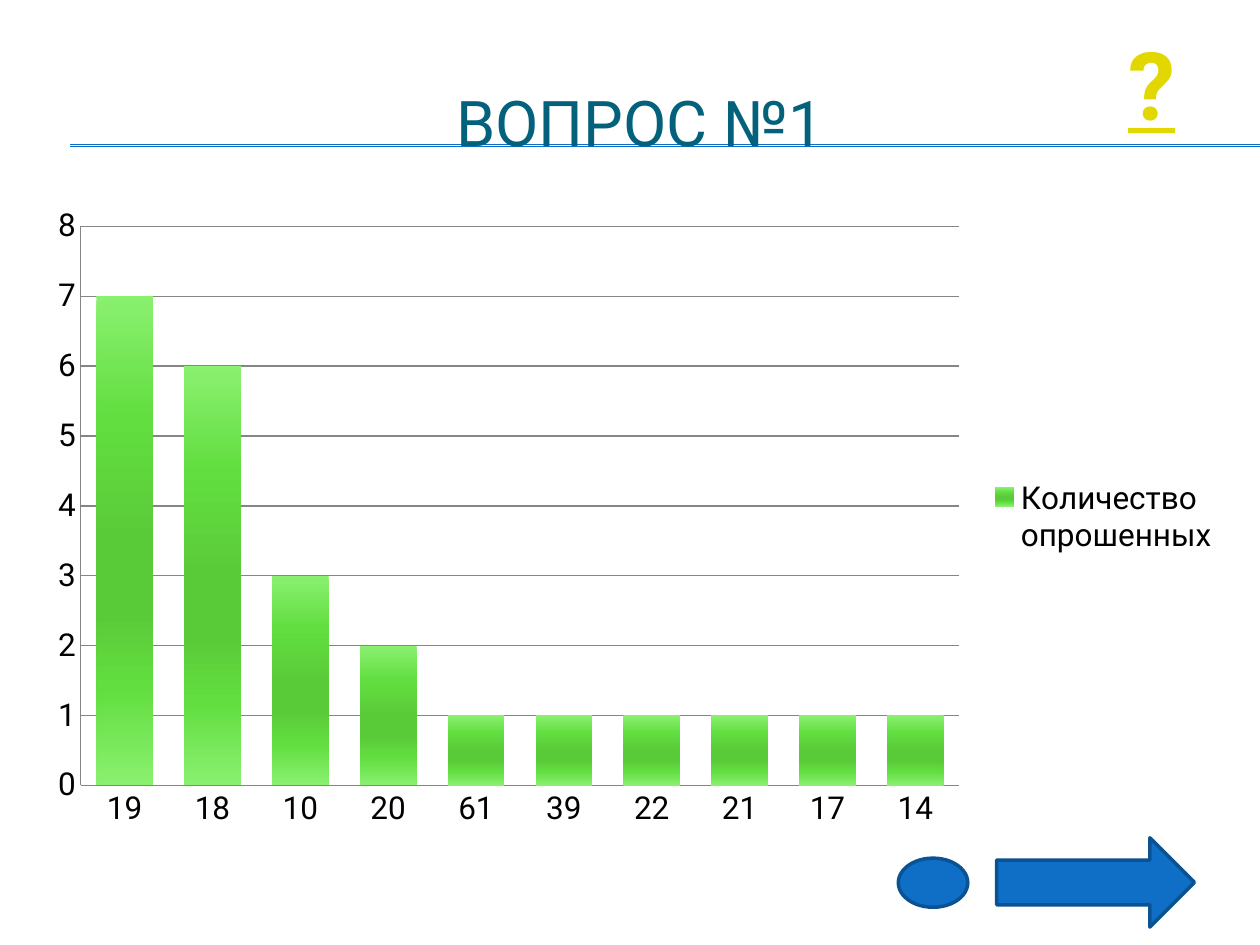
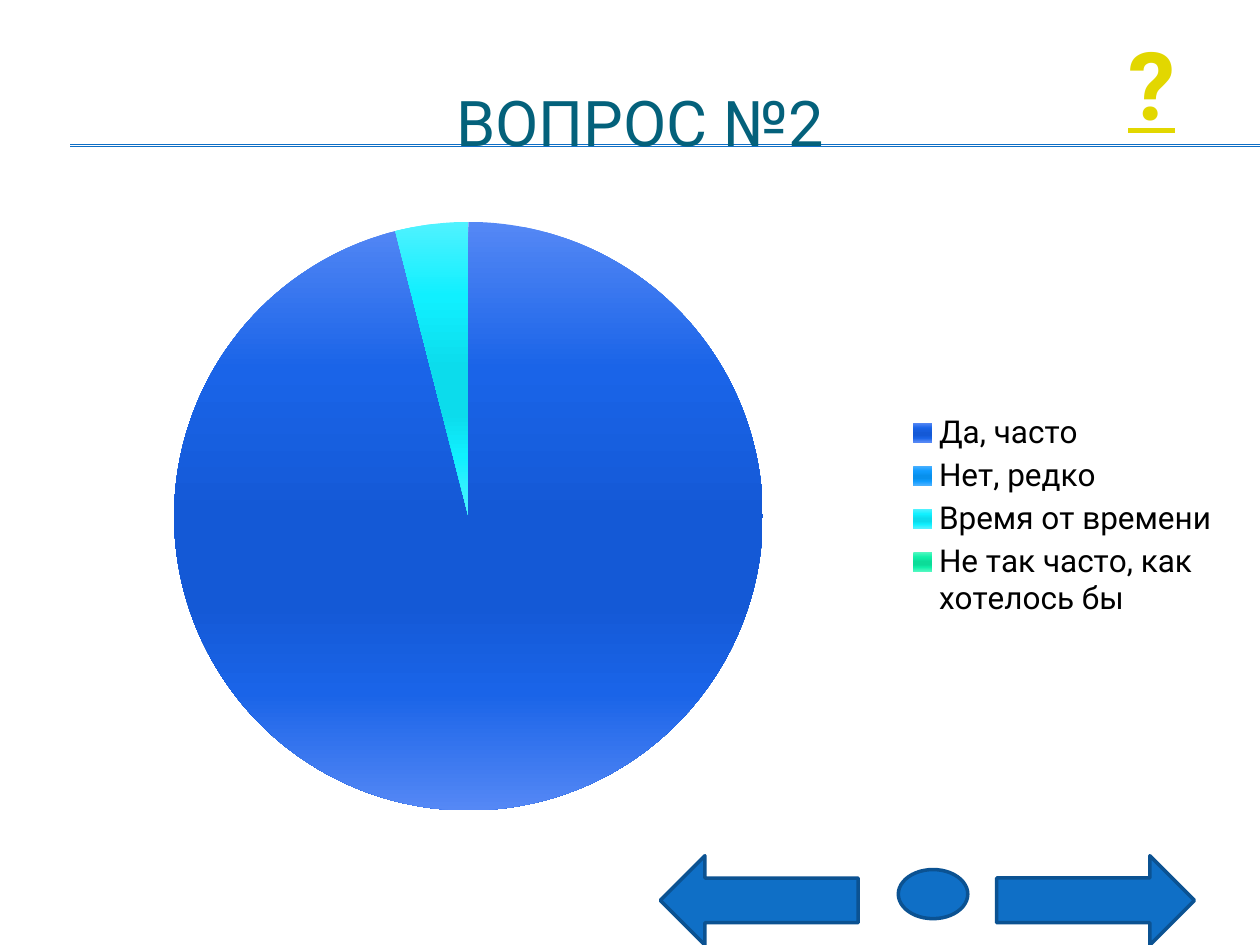
from dataclasses import dataclass

from lxml.etree import SubElement
from pptx import Presentation
from pptx.chart.data import CategoryChartData
from pptx.dml.color import RGBColor
from pptx.enum.chart import XL_CHART_TYPE, XL_LEGEND_POSITION, XL_TICK_MARK
from pptx.enum.shapes import MSO_CONNECTOR, MSO_SHAPE
from pptx.enum.text import MSO_ANCHOR, PP_ALIGN
from pptx.oxml.ns import qn
from pptx.util import Cm, Pt


@dataclass(frozen=True)
class Theme:
    font: str = "Roboto"
    blue: str = "0F6FC6"
    edge: str = "0B5292"
    head: str = "04617B"
    mark: str = "E2D700"
    text: str = "000000"
    grid: str = "868686"
    head_size: int = 36
    mark_size: int = 54
    chart_size: int = 18
    # Light, vivid and dark tone of each gradient
    green: tuple = ("8AF070", "62DE40", "5ACB38")
    slices: tuple = (
        ("5588F5", "1A64E8", "1459D6"),
        ("48B0FF", "109CFF", "0890EC"),
        ("50F2FF", "10F0FF", "0CDCEC"),
        ("50F8C0", "10F0A8", "0CDC98"),
    )


# Position in percent and tone of each gradient stop
STOPS = ((0, 0), (25, 1), (50, 2), (65, 2), (80, 1), (100, 0))


def rgb(code):
    return RGBColor.from_string(code)


def write(frame, text, *, font, size, color, bold=False, under=False,
          align=PP_ALIGN.LEFT, anchor=MSO_ANCHOR.TOP):
    """Put one formatted line of text in a frame."""
    frame.word_wrap = True
    frame.vertical_anchor = anchor
    line = frame.paragraphs[0]
    line.alignment = align
    run = line.add_run()
    run.text = text
    run.font.name, run.font.size = font, Pt(size)
    run.font.bold, run.font.underline = bold, under
    run.font.color.rgb = rgb(color)


def shade(fill, tones):
    """Fill from top to bottom with the tones of a gradient."""
    fill.gradient()
    fill.gradient_angle = 270
    stops = fill.gradient_stops[0]._gs.getparent()
    stops.clear()
    for place, tone in STOPS:
        stop = SubElement(stops, qn("a:gs"), pos=str(place * 1000))
        SubElement(stop, qn("a:srgbClr"), val=tones[tone])


def place_plot(chart, **box):
    """Fix the inner plot area as shares of the chart."""
    area = chart._chartSpace.chart.plotArea
    old = area.find(qn("c:layout"))
    if old is not None:
        area.remove(old)
    layout = SubElement(area, qn("c:layout"))
    area.insert(0, layout)
    manual = SubElement(layout, qn("c:manualLayout"))
    parts = {"layoutTarget": "inner", "xMode": "edge", "yMode": "edge", **box}
    for name, value in parts.items():
        SubElement(manual, qn(f"c:{name}"), val=str(value))


class Deck:
    def __init__(self, theme):
        self.theme = theme
        self.file = Presentation()
        self.file.slide_width, self.file.slide_height = Cm(25.4), Cm(19.05)
        self.slide = None

    def page(self, title):
        """Start a slide with its rules, title and question mark."""
        look = self.theme
        self.slide = self.file.slides.add_slide(self.file.slide_layouts[6])
        for top in (2.92, 2.95):
            self.rule(1.42, 25.4, top)
        self.label(title, 0.84, 1.27, 24.13, 2.34, size=look.head_size,
                   color=look.head, align=PP_ALIGN.CENTER, anchor=MSO_ANCHOR.MIDDLE)
        self.label("?", 22.5, 0.41, 1.8, 2.57, size=look.mark_size,
                   color=look.mark, bold=True, under=True)

    def rule(self, left, right, top):
        line = self.slide.shapes.add_connector(
            MSO_CONNECTOR.STRAIGHT, Cm(left), Cm(top), Cm(right), Cm(top))
        line.line.color.rgb = rgb(self.theme.blue)
        line.line.width = Pt(0.75)
        SubElement(line._element.spPr, qn("a:effectLst"))

    def label(self, text, left, top, width, height, **style):
        box = self.slide.shapes.add_textbox(Cm(left), Cm(top), Cm(width), Cm(height))
        write(box.text_frame, text, font=self.theme.font, **style)

    def shape(self, kind, left, top, width, height, turn=0):
        item = self.slide.shapes.add_shape(
            kind, Cm(left), Cm(top), Cm(width), Cm(height))
        item.rotation = turn
        item.shadow.inherit = False
        item.fill.solid()
        item.fill.fore_color.rgb = rgb(self.theme.blue)
        item.line.color.rgb = rgb(self.theme.edge)
        item.line.width = Pt(2)

    def arrow(self, left, top, turn=0):
        self.shape(MSO_SHAPE.RIGHT_ARROW, left, top, 3.99, 1.8, turn)

    def dot(self, top):
        self.shape(MSO_SHAPE.OVAL, 18.11, top, 1.4, 0.99)

    def chart(self, kind, name, values, top, height):
        """Add a chart with its legend on the right."""
        data = CategoryChartData()
        data.categories = list(values)
        data.add_series(name, list(values.values()))
        chart = self.slide.shapes.add_chart(
            kind, Cm(0.71), Cm(top), Cm(24.13), Cm(height), data).chart
        chart.has_title = False
        chart.font.name = self.theme.font
        chart.font.size = Pt(self.theme.chart_size)
        chart.font.color.rgb = rgb(self.theme.text)
        chart.has_legend = True
        chart.legend.position = XL_LEGEND_POSITION.RIGHT
        chart.legend.include_in_layout = False
        return chart

    def bars(self, name, values, top, height):
        chart = self.chart(XL_CHART_TYPE.COLUMN_STACKED, name, values, top, height)
        plot = chart.plots[0]
        plot.gap_width, plot.overlap = 55, 100
        plot.vary_by_categories = False
        shade(plot.series[0].format.fill, self.theme.green)
        scale = chart.value_axis
        scale.minimum_scale, scale.maximum_scale, scale.major_unit = 0, 8, 1
        scale.has_major_gridlines = True
        lines = [scale.major_gridlines.format.line]
        for axis in (scale, chart.category_axis):
            axis.major_tick_mark = axis.minor_tick_mark = XL_TICK_MARK.NONE
            lines.append(axis.format.line)
        for line in lines:
            line.color.rgb = rgb(self.theme.grid)
            line.width = Pt(0.75)
        place_plot(chart, x=0.038, y=0.048, w=0.734, h=0.867)

    def pie(self, name, values, top, height):
        chart = self.chart(XL_CHART_TYPE.PIE, name, values, top, height)
        plot = chart.plots[0]
        plot.vary_by_categories = True
        for spot, tones in enumerate(self.theme.slices):
            shade(plot.series[0].points[spot].format.fill, tones)
        place_plot(chart, x=0.116, y=0.029, w=0.492, h=0.944)


def main():
    deck = Deck(Theme())

    # Ages of those asked
    deck.page("ВОПРОС №1")
    ages = {"19": 7, "18": 6, "10": 3, "20": 2}
    ages.update(dict.fromkeys(("61", "39", "22", "21", "17", "14"), 1))
    deck.bars("Количество опрошенных", ages, 3.94, 13)
    deck.arrow(20.09, 16.89)
    deck.dot(17.3)

    # How often
    deck.page("ВОПРОС №2")
    shares = {"Да, часто": 96, "Нет, редко": 0, "Время от времени": 4,
              "Не так часто, как хотелось бы": 0}
    deck.pie("Series 1", shares, 4.11, 12.57)
    deck.arrow(20.09, 17.25)
    deck.dot(17.53)
    deck.arrow(13.31, 17.25, turn=180)

    deck.file.save("out.pptx")


if __name__ == "__main__":
    main()
